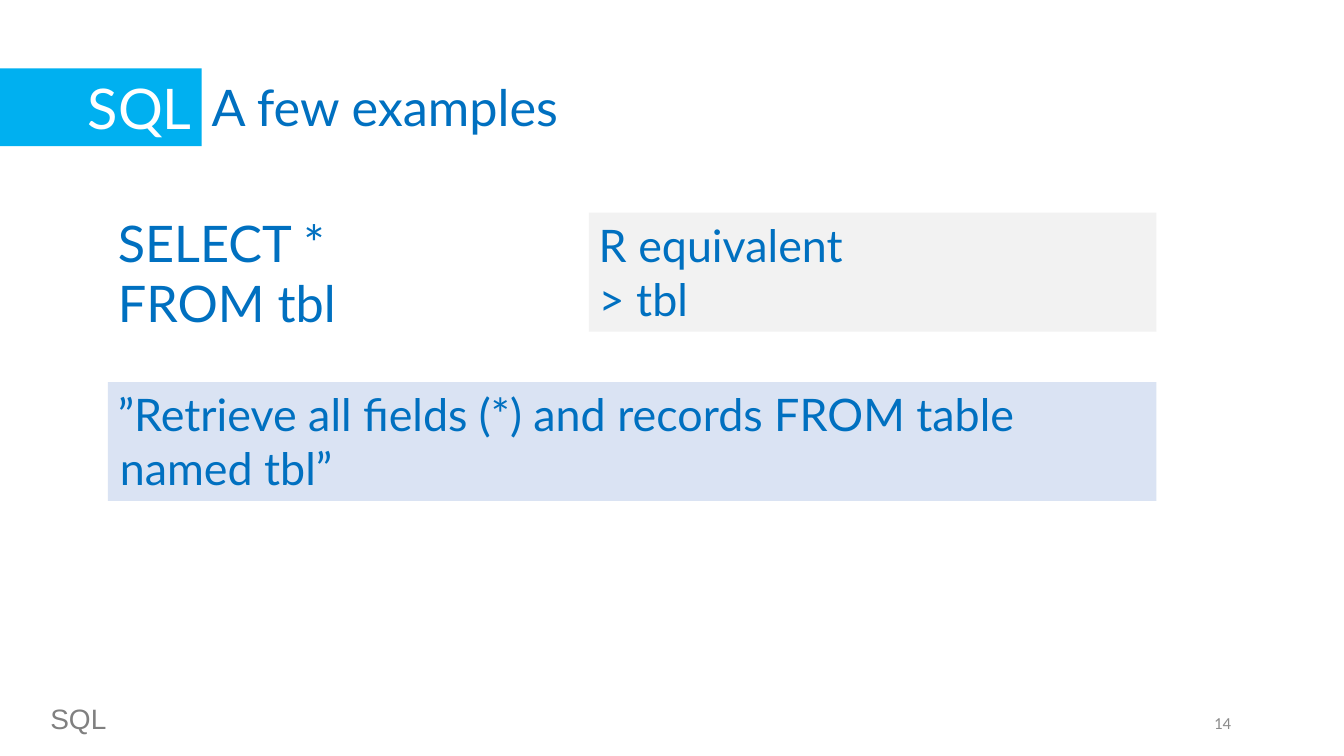
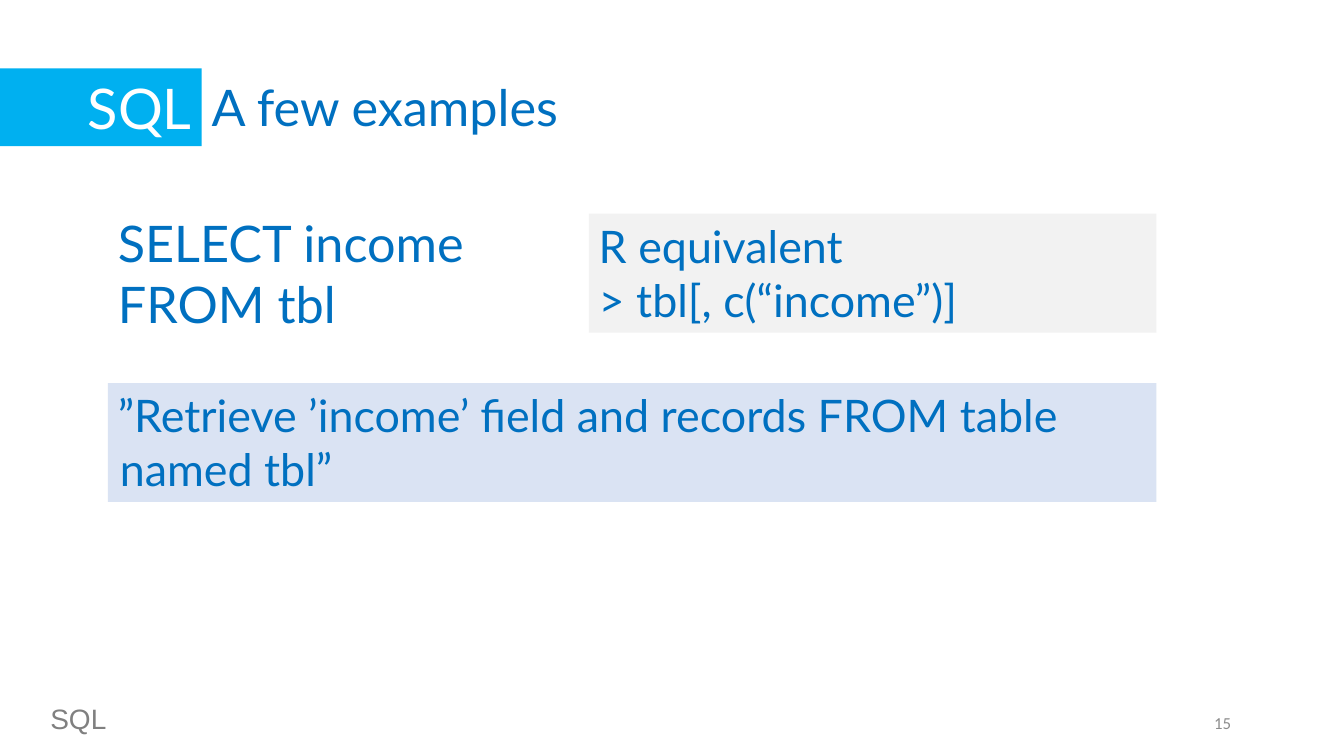
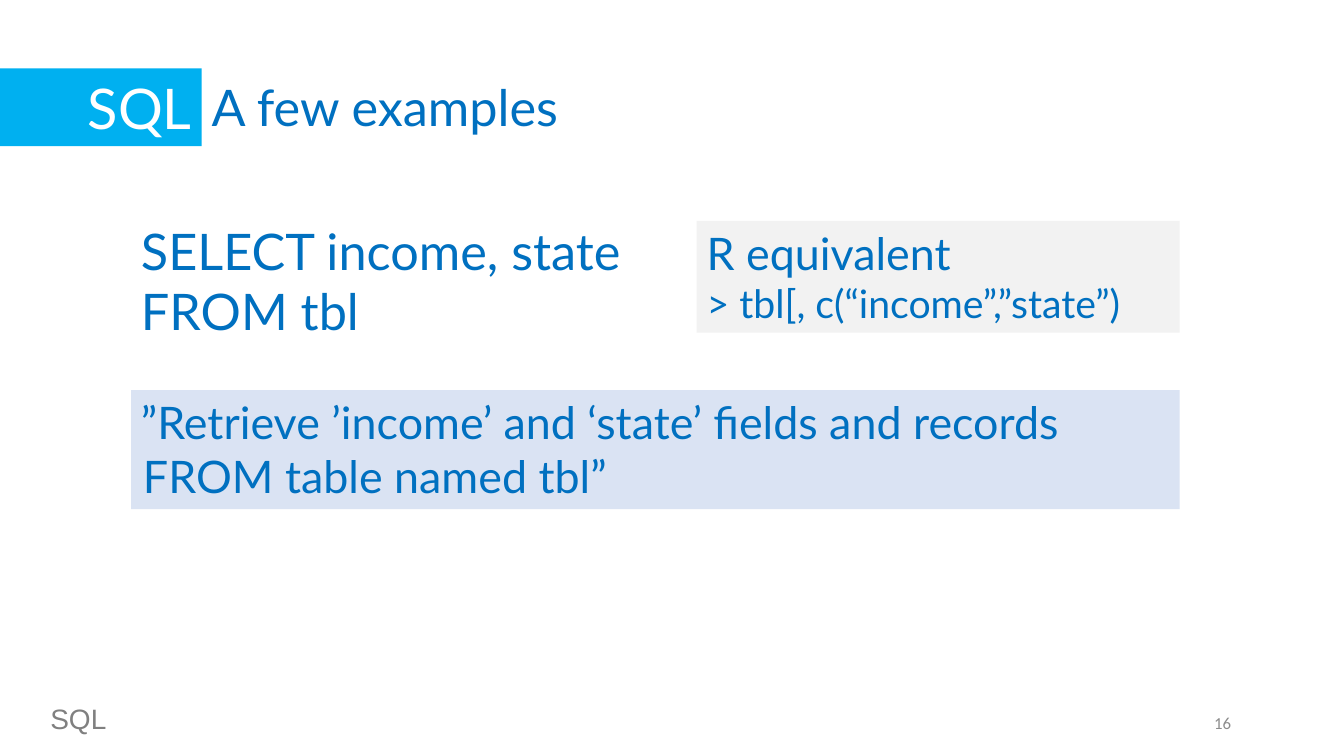
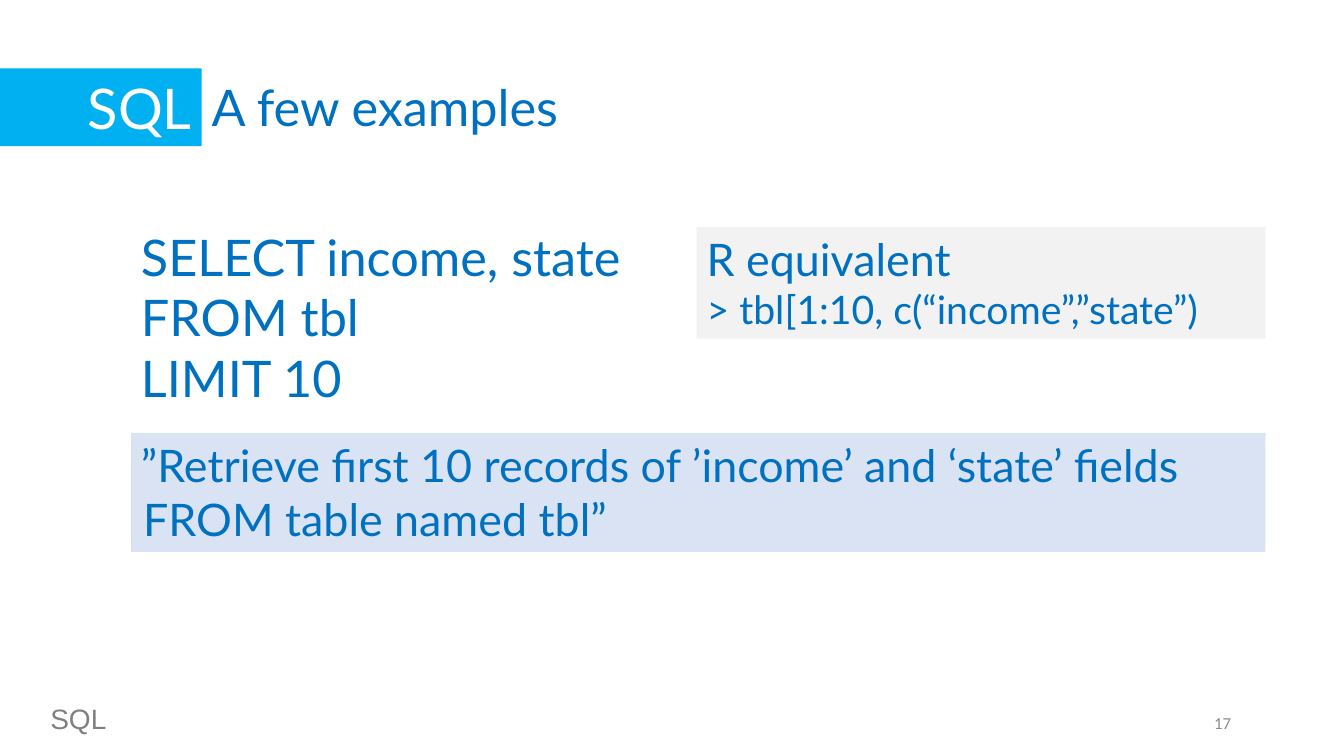
from dataclasses import dataclass

from pptx import Presentation
from pptx import util as u
from pptx.dml.color import RGBColor
from pptx.enum import shapes, text


@dataclass(frozen=True)
class Theme:
    blue: str = "0070C0"
    cyan: str = "00B0F0"
    pale: str = "DAE3F3"
    light: str = "F2F2F2"
    white: str = "FFFFFF"
    gray: str = "808080"
    dim: str = "8C8C8C"
    main: str = "Lato"
    foot: str = "Arial"
    num: str = "Calibri"
    badge: int = 40
    head: int = 36
    body: int = 32
    code: int = 28
    label: int = 20
    page: int = 12


class Deck:
    """Builds slides on a grid of ten columns and ten rows to the inch."""

    def __init__(self, theme):
        self.theme = theme
        self.prs = Presentation()
        self.prs.slide_width = u.Inches(13.33)
        self.prs.slide_height = u.Inches(7.5)
        self.slide = None

    def box(self, at, lines, size, color=None, font=None, fill=None,
            right=False, hang=True, mid=False):
        t = self.theme
        spot = [u.Inches(n / 10) for n in at]
        if fill:
            item = self.slide.shapes.add_shape(shapes.MSO_SHAPE.RECTANGLE, *spot)
            item.shadow.inherit = False
            item.fill.solid()
            item.fill.fore_color.rgb = RGBColor.from_string(fill)
            item.line.fill.background()
        else:
            item = self.slide.shapes.add_textbox(*spot)
        frame = item.text_frame
        frame.word_wrap = True
        frame.auto_size = (text.MSO_AUTO_SIZE.NONE if mid
                           else text.MSO_AUTO_SIZE.SHAPE_TO_FIT_TEXT)
        frame.vertical_anchor = text.MSO_ANCHOR.MIDDLE if mid else text.MSO_ANCHOR.TOP
        frame.text = "\n".join(lines)
        sizes = size if isinstance(size, tuple) else (size,) * len(lines)
        for para, points in zip(frame.paragraphs, sizes):
            para.alignment = text.PP_ALIGN.RIGHT if right else text.PP_ALIGN.LEFT
            if hang:
                props = para._p.get_or_add_pPr()
                props.set("marL", str(u.Inches(0.02)))
                props.set("indent", str(-u.Inches(0.02)))
            para.font.name = font or t.main
            para.font.size = u.Pt(points)
            para.font.color.rgb = RGBColor.from_string(color or t.blue)

    def start(self, page):
        t = self.theme
        self.slide = self.prs.slides.add_slide(self.prs.slide_layouts[6])
        self.box((93.1, 69.7, 30, 4), [str(page)], t.page, t.dim, t.num,
                 right=True, hang=False, mid=True)
        self.box((4, 69.1, 97.9, 4.4), ["SQL"], t.label, t.gray, t.foot)
        self.box((20, 7.1, 78.9, 7.1), ["A few examples"], t.head)
        self.box((0, 6.8, 20, 7.7), ["SQL"], t.badge, t.white, fill=t.cyan,
                 right=True, hang=False)

    def query(self, left, top, lines):
        high = 1 + 6.05 * len(lines)
        self.box((left, top, 78.9, high), lines, self.theme.head)
        return top + high

    def note(self, left, top, right, words):
        self.box((left, top, right - left, 11.8), [words], self.theme.body,
                 fill=self.theme.pale)

    def equal(self, left, top, right, code, size):
        t = self.theme
        high = 11.8 if size == t.body else 11.1
        self.box((left, top, right - left, high), ["R equivalent", code],
                 (t.body, size), fill=t.light)


def main():
    t = Theme()
    deck = Deck(t)
    near, far = (10.7, 58.4), (13, 69.1)
    pages = [
        (near, 20.5, 114.7, 4.3, ["SELECT *", "FROM tbl"], "> tbl", t.body,
         "”Retrieve all fields (*) and records FROM table named tbl”"),
        (near, 20.6, 114.7, 4.3, ["SELECT income", "FROM tbl"],
         "> tbl[, c(“income”)]", t.body,
         "”Retrieve ’income’ field and records FROM table named tbl”"),
        (far, 21.3, 117, 4.3, ["SELECT income, state", "FROM tbl"],
         "> tbl[, c(“income”,”state”)", t.code,
         "”Retrieve ’income’ and ‘state’ fields and records FROM table named tbl”"),
        (far, 21.9, 125.5, 1.9, ["SELECT income, state", "FROM tbl", "LIMIT 10"],
         "> tbl[1:10, c(“income”,”state”)", t.code,
         "”Retrieve first 10 records of ’income’ and ‘state’ fields FROM table named tbl”"),
    ]
    for page, (cols, top, right, gap, lines, code, size, words) in enumerate(pages, 14):
        left, split = cols
        deck.start(page)
        end = deck.query(left, top, lines)
        deck.note(left, end + gap, right, words)
        deck.equal(split, top + 0.6, right, code, size)
    deck.prs.save("out.pptx")


if __name__ == "__main__":
    main()
